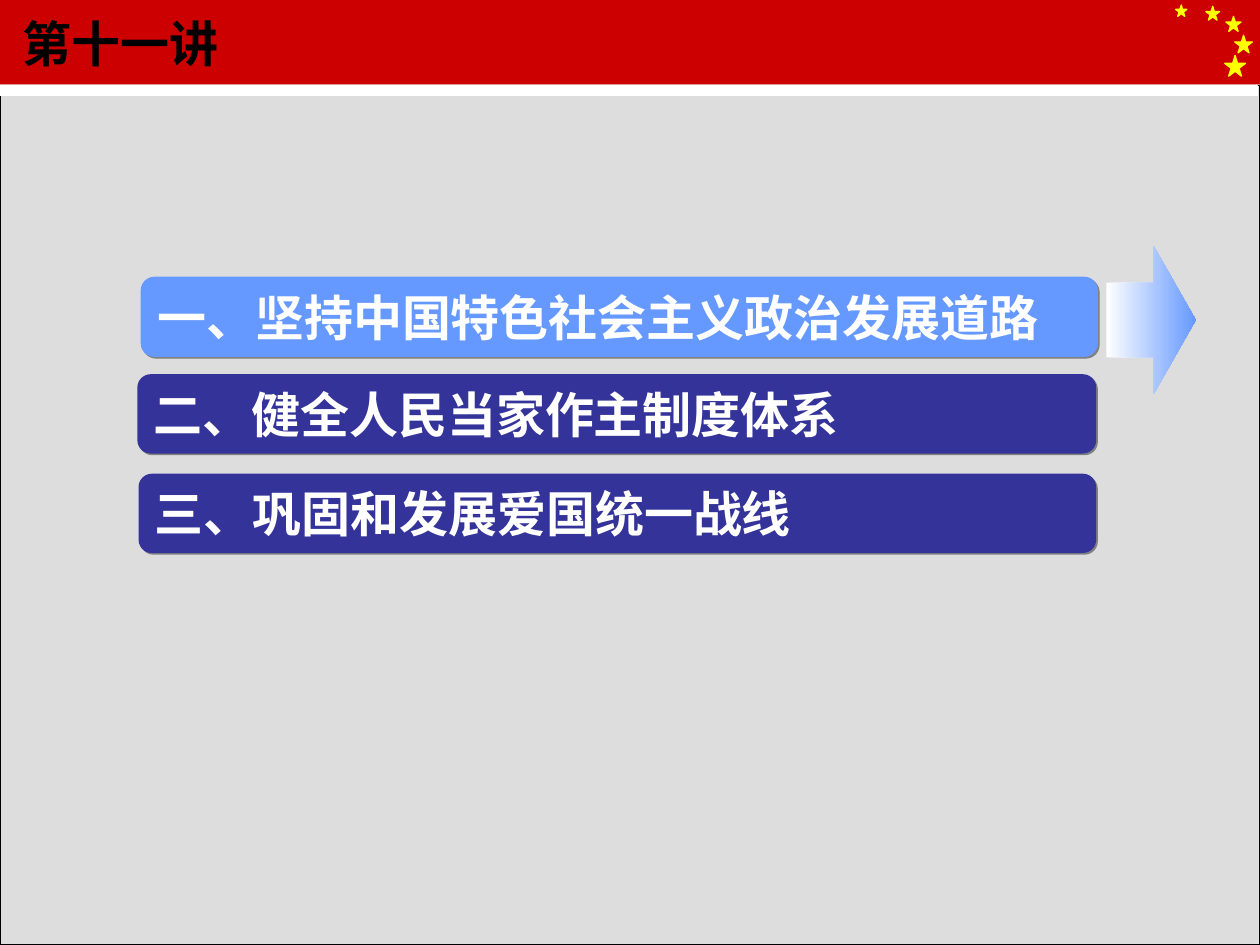
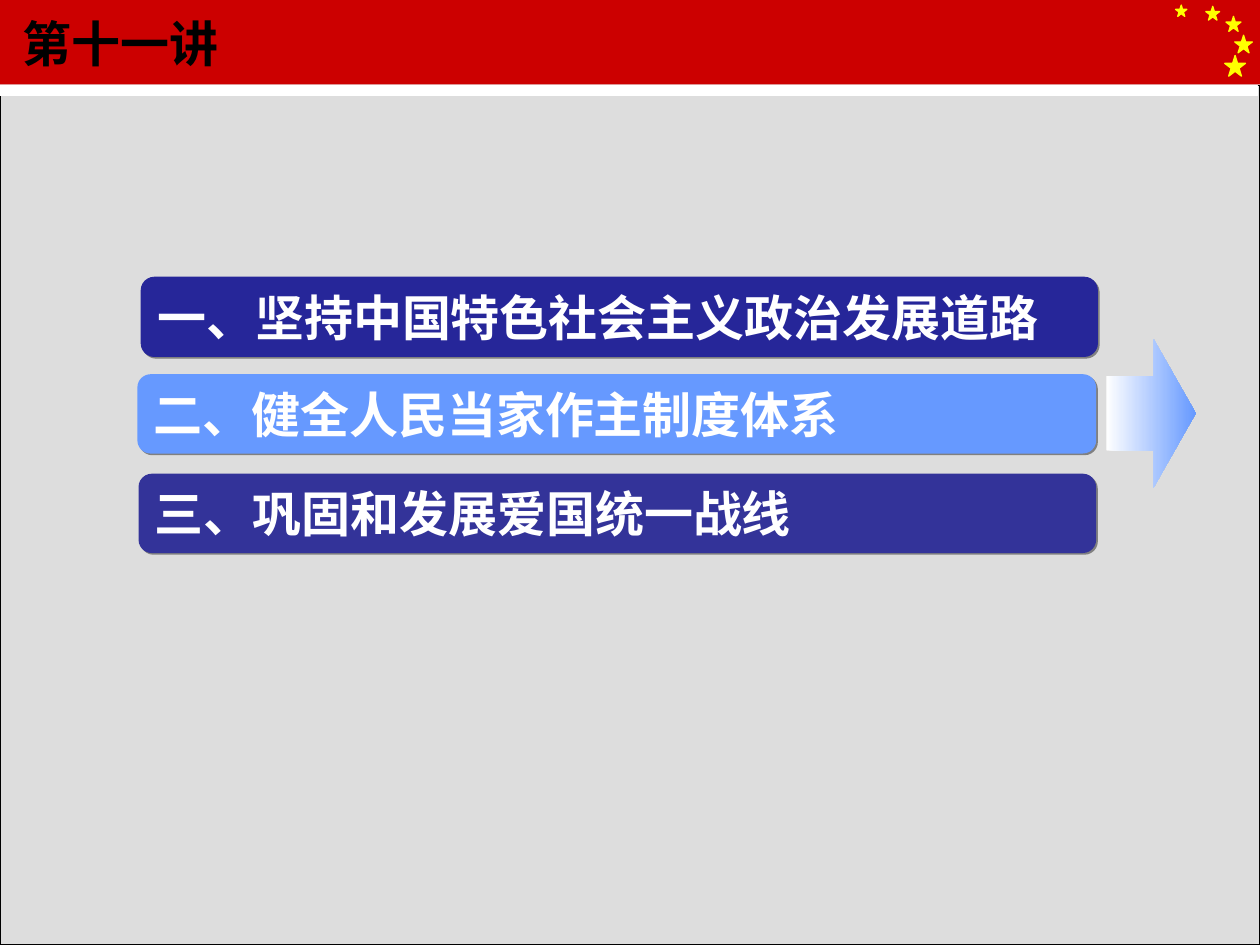
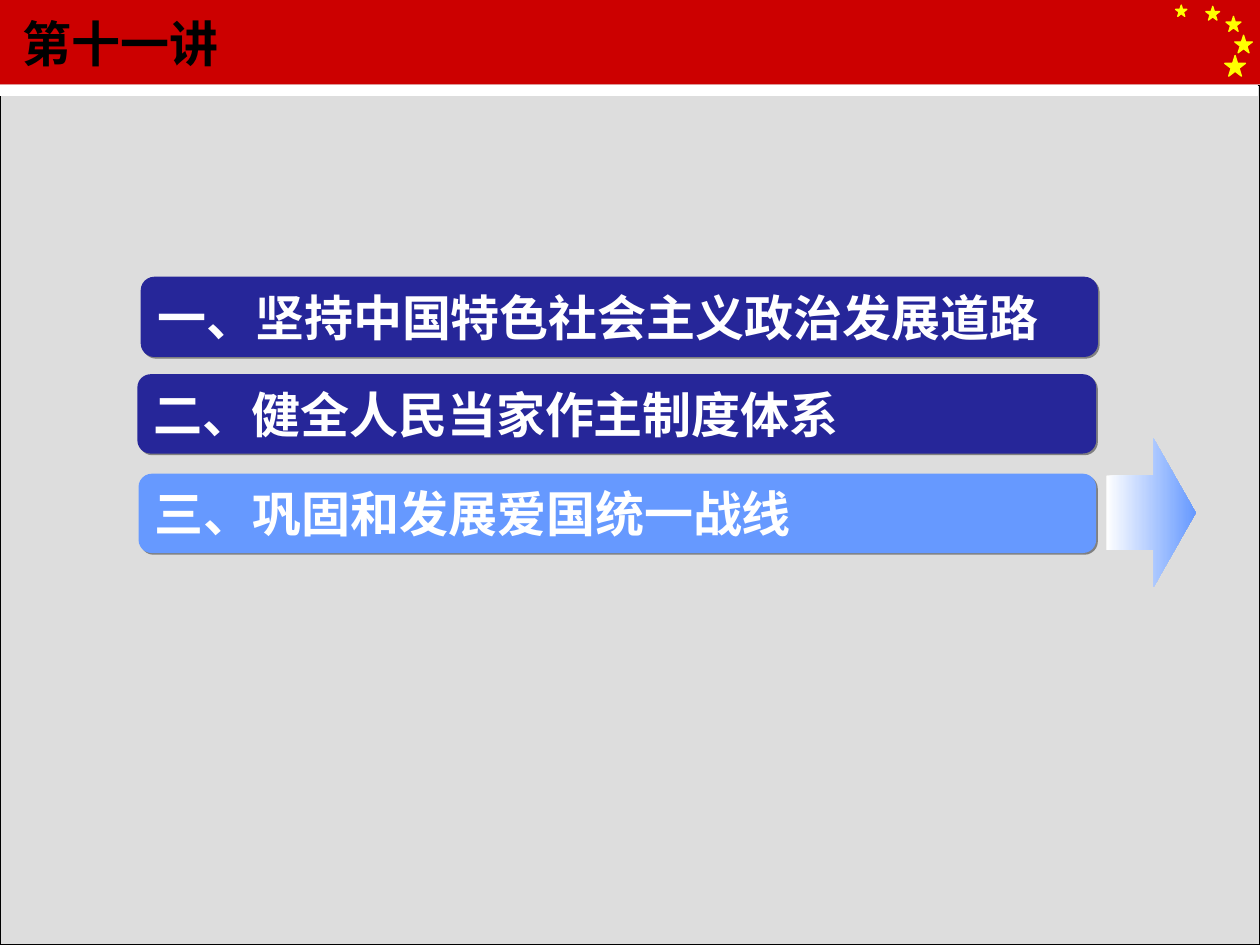
from dataclasses import dataclass

from lxml import etree
from pptx import Presentation
from pptx.dml.color import RGBColor
from pptx.enum import shapes, text
from pptx.oxml.ns import qn
from pptx.util import Pt

FONT = "Times New Roman"
FONT_SIZE = 28
LECTURE = "第十一讲"
WHITE, BLACK, RED, YELLOW = "FFFFFF", "000000", "CC0000", "FFFF00"
BACKGROUND, PANEL, SHADOW = "EAEAEA", "DDDDDD", "808080"
CURRENT, VISITED, UPCOMING = "6699FF", "262699", "333399"
SLIDE_WIDTH, SLIDE_HEIGHT = 720, 540
BAND_HEIGHT = 48.24
PANEL_TOP = 48.96
BAR_HEIGHT = 45.36
Shape = shapes.MSO_SHAPE


@dataclass(frozen=True)
class Box:
    left: float
    top: float
    width: float
    height: float

    def lengths(self) -> tuple:
        return Pt(self.left), Pt(self.top), Pt(self.width), Pt(self.height)


@dataclass(frozen=True)
class Topic:
    label: str
    box: Box
    arrow_top: float
    outlined: bool = False


TOPICS = (
    Topic("一、坚持中国特色社会主义政治发展道路",
          Box(80.64, 158.4, 546.48, BAR_HEIGHT), 140.4, outlined=True),
    Topic("二、健全人民当家作主制度体系",
          Box(78.48, 213.84, 547.92, BAR_HEIGHT), 193.68),
    Topic("三、巩固和发展爱国统一战线",
          Box(79.2, 270.72, 547.2, BAR_HEIGHT), 250.56),
)

STARS = (
    Box(699.84, 31.68, 11.9, 11.9),
    Box(689.04, 3.6, 7.9, 7.9),
    Box(671.76, 2.88, 6.5, 6.5),
    Box(700.56, 9.36, 8.6, 8.6),
    Box(705.6, 20.16, 10.1, 10.1),
)


def colour(value: str) -> RGBColor:
    return RGBColor.from_string(value)


def add_solid(slide, kind, box: Box, fill: str, line: str = "", weight: float = 0.75):
    shape = slide.shapes.add_shape(kind, *box.lengths())
    shape.shadow.inherit = False
    shape.fill.solid()
    shape.fill.fore_color.rgb = colour(fill)
    if line:
        shape.line.color.rgb = colour(line)
        shape.line.width = Pt(weight)
    else:
        shape.line.fill.background()
    return shape


def add_shadow(shape) -> None:
    effects = shape.element.spPr.find(qn("a:effectLst"))
    shadow = etree.SubElement(effects, qn("a:outerShdw"), blurRad="0",
                              dist=str(Pt(1.4)), dir="2700000", algn="ctr", rotWithShape="0")
    etree.SubElement(shadow, qn("a:srgbClr"), val=SHADOW)


def write_line(frame, words: str, hue: str) -> None:
    frame.text = words
    frame.vertical_anchor = text.MSO_ANCHOR.MIDDLE
    frame.word_wrap = True
    paragraph = frame.paragraphs[0]
    paragraph.alignment = text.PP_ALIGN.LEFT
    paragraph.font.name = FONT
    paragraph.font.size = Pt(FONT_SIZE)
    paragraph.font.bold = True
    paragraph.font.color.rgb = colour(hue)


def draw_backdrop(slide, layout) -> None:
    band = add_solid(slide, Shape.RECTANGLE, Box(0, 0, SLIDE_WIDTH, BAND_HEIGHT), RED)
    stars = [add_solid(slide, Shape.STAR_5_POINT, box, YELLOW, YELLOW) for box in STARS]
    panel = add_solid(slide, Shape.RECTANGLE,
                      Box(0, PANEL_TOP, SLIDE_WIDTH, SLIDE_HEIGHT - PANEL_TOP), PANEL, BLACK)
    stripe = add_solid(slide, Shape.RECTANGLE, Box(0, PANEL_TOP, 718.56, 5.76), WHITE, WHITE)
    for number, part in enumerate([band, *stars, panel, stripe], start=101):
        part.element.nvSpPr.cNvPr.set("id", str(number))
        layout.shapes.element.append(part.element)


def draw_title(slide) -> None:
    title = slide.shapes.title
    title.left, title.top, title.width, title.height = Box(5.76, 0, 648.72, 48.96).lengths()
    write_line(title.text_frame, LECTURE, BLACK)
    title.text_frame.auto_size = text.MSO_AUTO_SIZE.NONE


def draw_topic(slide, topic: Topic, fill: str) -> None:
    line = fill if topic.outlined else ""
    bar = add_solid(slide, Shape.ROUNDED_RECTANGLE, topic.box, fill, line, 0.5)
    bar.adjustments[0] = 0.167
    add_shadow(bar)
    write_line(bar.text_frame, topic.label, WHITE)


def draw_arrow(slide, top: float) -> None:
    arrow = add_solid(slide, Shape.RIGHT_ARROW, Box(632.16, top, 51.12, 84.96), CURRENT)
    arrow.adjustments[1] = 0.471
    arrow.fill.gradient()
    arrow.fill.gradient_angle = 0
    for stop, hue in zip(arrow.fill.gradient_stops, (WHITE, CURRENT)):
        stop.color.rgb = colour(hue)


def topic_fill(position: int, current: int) -> str:
    if position == current:
        return CURRENT
    return VISITED if position < current else UPCOMING


def main() -> None:
    deck = Presentation()
    deck.slide_width, deck.slide_height = Pt(SLIDE_WIDTH), Pt(SLIDE_HEIGHT)
    layout = deck.slide_layouts.get_by_name("Title Only")
    layout.background.fill.solid()
    layout.background.fill.fore_color.rgb = colour(BACKGROUND)
    for current, current_topic in enumerate(TOPICS):
        slide = deck.slides.add_slide(layout)
        if current == 0:
            draw_backdrop(slide, layout)
        draw_title(slide)
        for position, topic in enumerate(TOPICS):
            draw_topic(slide, topic, topic_fill(position, current))
        draw_arrow(slide, current_topic.arrow_top)
    deck.save("out.pptx")


if __name__ == "__main__":
    main()
